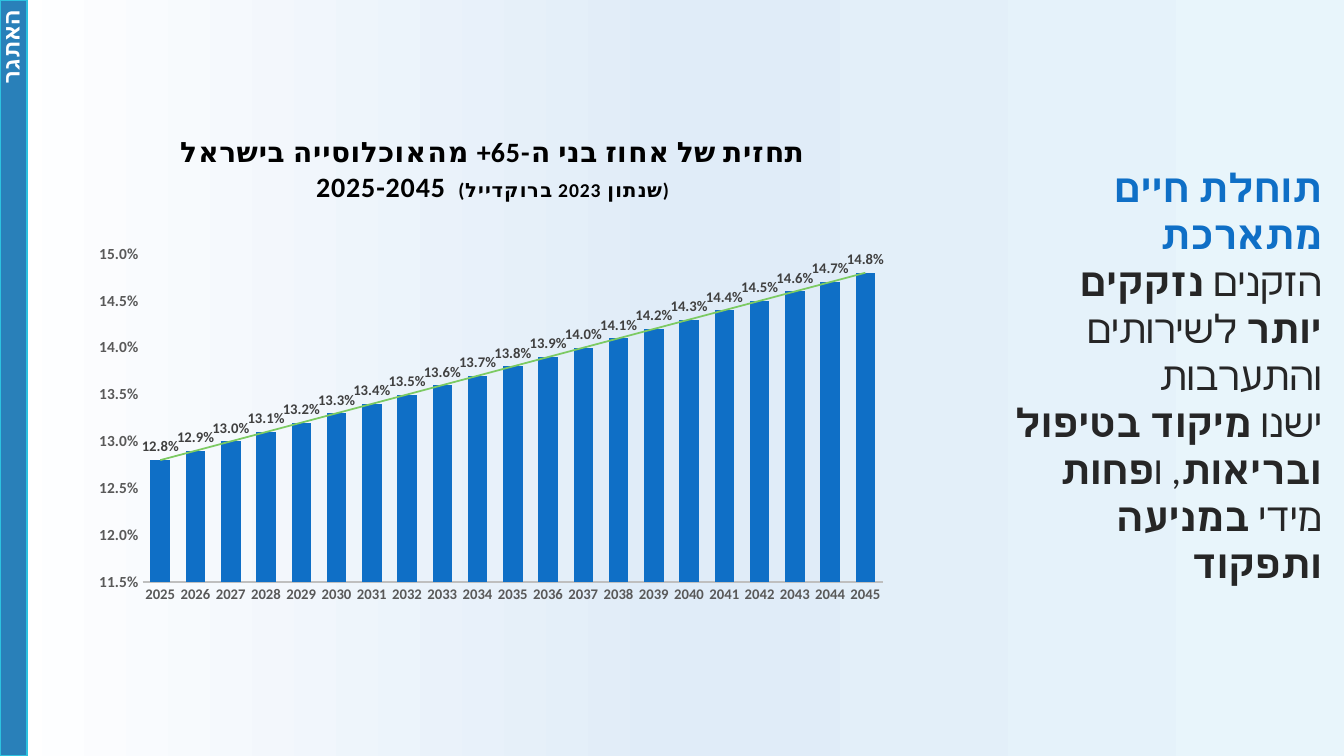
from copy import deepcopy
from dataclasses import dataclass

from lxml.etree import SubElement
from pptx import Presentation
from pptx.chart.data import CategoryChartData
from pptx.dml.color import RGBColor
from pptx.enum.chart import XL_CHART_TYPE, XL_LABEL_POSITION, XL_TICK_MARK
from pptx.enum.shapes import MSO_SHAPE
from pptx.enum.text import MSO_AUTO_SIZE, PP_ALIGN
from pptx.oxml import parse_xml
from pptx.oxml.ns import nsdecls, qn
from pptx.util import Inches, Pt

FONT = "Calibri"
BLUE, INK, BLACK, WHITE = "0F6FC6", "262626", "000000", "FFFFFF"


@dataclass
class Run:
    text: str
    bold: bool = False
    color: str = INK
    size: float = 28
    gap: int = 0  # letter spacing, hundredths of a point


HEAD = Run("תוחלת חיים מתארכת", True, BLUE)
BODY = [
    [Run("הזקנים "), Run("נזקקים יותר ", True), Run("לשירותים והתערבות")],
    [Run("ישנו "), Run("מיקוד בטיפול ובריאות", True), Run(", ו"),
     Run("פחות", True), Run(" מידי "), Run("במניעה ותפקוד", True)],
]
TITLE = [
    [Run("תחזית של אחוז בני ה-65+ מהאוכלוסייה בישראל", True, BLACK, 20, 50)],
    [Run("2025-2045 ", True, BLACK, 20, 50),
     Run(" (שנתון 2023 ברוקדייל)", True, BLACK, 14, 50)],
]
YEARS = range(2025, 2046)
SHARES = [round(0.128 + 0.001 * step, 3) for step in range(len(YEARS))]


def tint(code: str) -> RGBColor:
    return RGBColor.from_string(code)


def style(font, size: float, color: str, bold: bool = True) -> None:
    font.name, font.size, font.bold = FONT, Pt(size), bold
    font.color.rgb = tint(color)


def add_runs(para, runs: list[Run]) -> None:
    for item in runs:
        run = para.add_run()
        run.text = item.text
        style(run.font, item.size, item.color, item.bold)
        props = run.font._element
        SubElement(props, qn("a:cs")).set("typeface", FONT)
        if item.gap:
            props.set("spc", str(item.gap))


def set_rtl(para) -> None:
    para.alignment = PP_ALIGN.RIGHT
    para._p.get_or_add_pPr().set("rtl", "1")


def paint_back(slide) -> None:
    fill = slide.background.fill
    fill.gradient()
    fill.gradient_angle = 0
    stops = slide._element.find(".//" + qn("a:gsLst"))
    stops.append(deepcopy(stops[-1]))
    shades = [(0, WHITE), (0.5, "E0ECF8"), (1, "E8F5FB")]
    for stop, (place, code) in zip(fill.gradient_stops, shades):
        stop.position = place
        stop.color.rgb = tint(code)


def place_plot(chart, left: float, top: float, width: float, height: float) -> None:
    """Fix the inner plot area, as shares of the chart frame."""
    area = chart._chartSpace.chart.plotArea
    for old in area.findall(qn("c:layout")):
        area.remove(old)
    area.insert(0, parse_xml(
        f'<c:layout {nsdecls("c")}><c:manualLayout><c:layoutTarget val="inner"/>'
        '<c:xMode val="edge"/><c:yMode val="edge"/>'
        f'<c:x val="{left}"/><c:y val="{top}"/><c:w val="{width}"/><c:h val="{height}"/>'
        "</c:manualLayout></c:layout>"))


def add_trend(series, color: str, width: float) -> None:
    trend = parse_xml(
        f'<c:trendline {nsdecls("c", "a")}><c:spPr><a:ln w="{Pt(width)}">'
        f'<a:solidFill><a:srgbClr val="{color}"/></a:solidFill></a:ln></c:spPr>'
        '<c:trendlineType val="linear"/><c:dispRSqr val="0"/><c:dispEq val="0"/>'
        "</c:trendline>")
    series._element.find(qn("c:cat")).addprevious(trend)


def add_graph(slide) -> None:
    data = CategoryChartData(number_format="0.0%")
    data.categories = [str(year) for year in YEARS]
    data.add_series("Series 1", SHARES)
    chart = slide.shapes.add_chart(
        XL_CHART_TYPE.COLUMN_CLUSTERED, Inches(0.85), Inches(1.14),
        Inches(8.07), Inches(4.93), data).chart
    style(chart.font, 10, BLACK, False)
    chart.has_legend = False

    frame = chart.chart_title.text_frame
    for index, runs in enumerate(TITLE):
        para = frame.add_paragraph() if index else frame.paragraphs[0]
        para.line_spacing = 0.9
        para.space_before = Pt(5 * index)
        add_runs(para, runs)
    place_plot(chart, 0.07, 0.28, 0.91, 0.66)

    years, rates = chart.category_axis, chart.value_axis
    for axis, size in ((years, 10.5), (rates, 11)):
        axis.major_tick_mark = axis.minor_tick_mark = XL_TICK_MARK.NONE
        axis.has_major_gridlines = False
        style(axis.tick_labels.font, size, "595959")
    years.format.line.color.rgb = tint("BFBFBF")
    years.format.line.width = Pt(1.25)
    rates.format.line.fill.background()
    rates.minimum_scale, rates.maximum_scale = 0.115, 0.15
    rates.major_unit = 0.005
    rates.tick_labels.number_format = "0.0%"
    rates.tick_labels.number_format_is_linked = False

    plot = chart.plots[0]
    plot.gap_width, plot.overlap = 80, 25
    plot.vary_by_categories = False
    series = plot.series[0]
    series.format.fill.solid()
    series.format.fill.fore_color.rgb = tint(BLUE)
    labels = series.data_labels
    labels.show_value = True
    labels.position = XL_LABEL_POSITION.OUTSIDE_END
    style(labels.font, 10.5, "404040")
    add_trend(series, "7CCA62", 1.25)


def add_notes(slide) -> None:
    """Write the key points to the right of the chart."""
    box = slide.shapes.add_textbox(Inches(9.78), Inches(1.57), Inches(3.43), Inches(3.4))
    frame = box.text_frame
    frame.word_wrap = True
    frame.auto_size = MSO_AUTO_SIZE.SHAPE_TO_FIT_TEXT
    for index, runs in enumerate(BODY):
        para = frame.add_paragraph() if index else frame.paragraphs[0]
        set_rtl(para)
        if not index:
            add_runs(para, [HEAD])
            para.add_line_break()
        add_runs(para, runs)


def add_side(slide) -> None:
    """Draw the side bar with its upright label."""
    bar = slide.shapes.add_shape(MSO_SHAPE.RECTANGLE, 0, 0, Inches(0.27), Inches(7.5))
    bar.shadow.inherit = False
    bar.fill.solid()
    bar.fill.fore_color.rgb = tint("2980B9")
    bar.line.color.rgb = tint("2CC2E0")
    bar.line.width = Pt(1)

    label = slide.shapes.add_textbox(Inches(-0.59), Inches(0.52), Inches(1.4), Inches(0.37))
    label.rotation = 270
    label.text_frame.word_wrap = True
    para = label.text_frame.paragraphs[0]
    set_rtl(para)
    add_runs(para, [Run("האתגר", True, WHITE, 16)])


def main() -> None:
    deck = Presentation()
    deck.slide_width, deck.slide_height = Inches(13.33), Inches(7.5)
    slide = deck.slides.add_slide(deck.slide_layouts[6])
    paint_back(slide)
    add_graph(slide)
    add_notes(slide)
    add_side(slide)
    deck.save("out.pptx")


if __name__ == "__main__":
    main()
